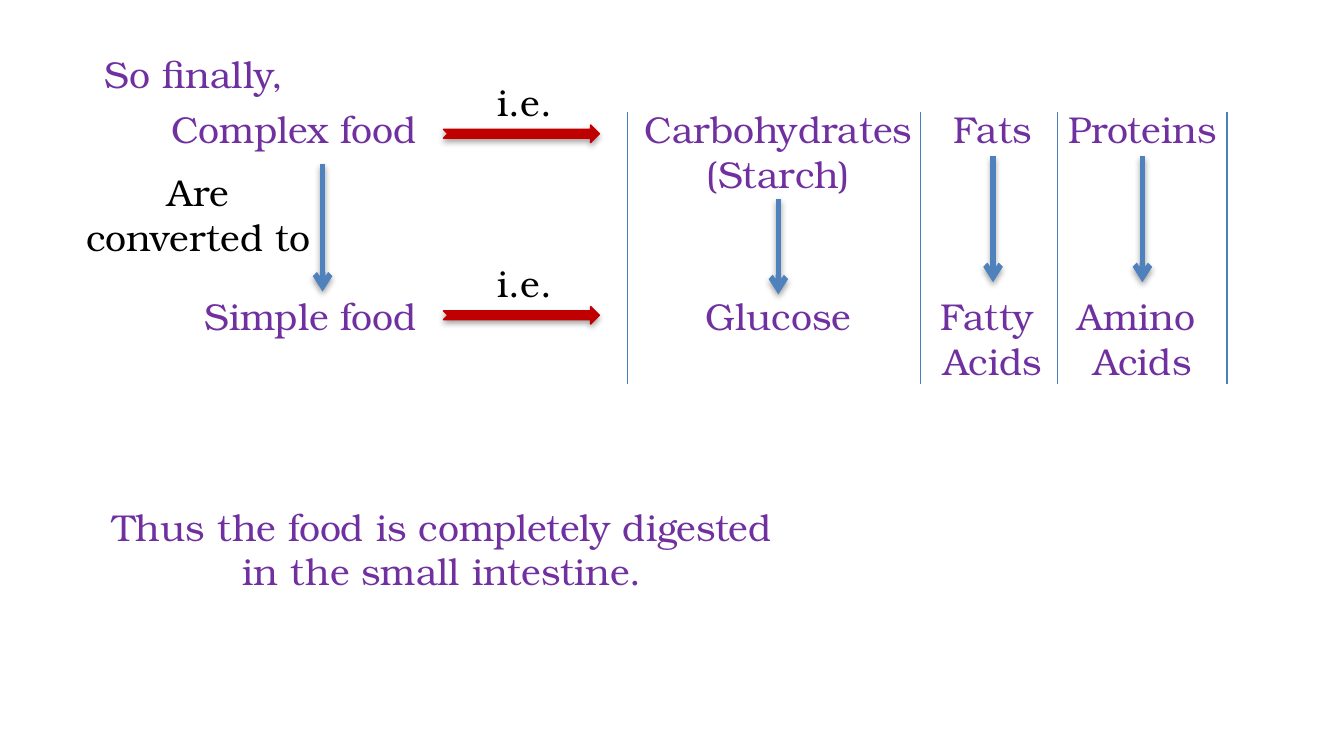
from lxml import etree
from pptx import Presentation
from pptx.dml.color import RGBColor
from pptx.enum import shapes, text
from pptx.oxml import ns
from pptx.util import Pt

PURPLE = RGBColor(0x70, 0x30, 0xA0)
BLACK = RGBColor(0, 0, 0)
BLUE = RGBColor(0x4F, 0x81, 0xBD)
RULE_BLUE = RGBColor(0x4B, 0x7E, 0xBC)
RED = RGBColor(0xC0, 0, 0)
FONT = "TeX Gyre Bonum"
LINE_HEIGHT = 23.9
MARGIN = 3.6
LEFT, CENTER, RIGHT = text.PP_ALIGN.LEFT, text.PP_ALIGN.CENTER, text.PP_ALIGN.RIGHT

COMPLEX_TOP, SIMPLE_TOP = 53.3, 153.4
NUTRIENTS = [
    (417, ["Carbohydrates", "(Starch)"], 159.8, ["Glucose"], 93.6, (106.6, 157.7)),
    (532, ["Fats"], 57.6, ["Fatty ", "Acids"], 72, (83.5, 151.2)),
    (612, ["Proteins"], 95, ["Amino ", "Acids"], 84.2, (83.5, 151.2)),
]
DIVIDERS = [336.2, 493.2, 566.6, 657.4]
DIVIDER_TOP, DIVIDER_BOTTOM = 59.8, 205.9
FOODS = [
    ("Complex food", COMPLEX_TOP, 171.4, 67, 38.9),
    ("Simple food", SIMPLE_TOP, 140.4, 164.2, 136.1),
]
FOOD_RIGHT = 230.4
EXAMPLE_LEFT, EXAMPLE_WIDTH, EXAMPLE_HEIGHT = 237.6, 83.5, 9.4
CONVERSION = (172.8, 87.8, 156.2)

deck = Presentation()
deck.slide_width, deck.slide_height = Pt(720), Pt(405)
slide = deck.slides.add_slide(deck.slide_layouts[6])


def add_label(lines, left, top, width, color=PURPLE, align=CENTER, wrap=True, rows=None):
    height = (rows or len(lines)) * LINE_HEIGHT + 2 * MARGIN
    label = slide.shapes.add_textbox(Pt(left), Pt(top), Pt(width), Pt(height))
    frame = label.text_frame
    frame.word_wrap = wrap
    frame.auto_size = text.MSO_AUTO_SIZE.SHAPE_TO_FIT_TEXT
    frame.text = "\n".join(lines)
    for paragraph in frame.paragraphs:
        paragraph.alignment = align
        paragraph.font.name = FONT
        paragraph.font.size = Pt(20)
        paragraph.font.color.rgb = color


def set_effects(part, shadow):
    effects = etree.SubElement(part._element.spPr, ns.qn("a:effectLst"))
    if shadow:
        outer = etree.SubElement(effects, ns.qn("a:outerShdw"), blurRad="40000",
                                 dist="23000", dir="5400000", rotWithShape="0")
        black = etree.SubElement(outer, ns.qn("a:srgbClr"), val="000000")
        etree.SubElement(black, ns.qn("a:alpha"), val="35000")


def add_vertical(x, top, bottom, color, weight, arrow=False):
    stroke = slide.shapes.add_connector(
        shapes.MSO_CONNECTOR.STRAIGHT, Pt(x), Pt(top), Pt(x), Pt(bottom))
    stroke.line.color.rgb = color
    stroke.line.width = Pt(weight)
    if arrow:
        etree.SubElement(stroke.line._get_or_add_ln(), ns.qn("a:tailEnd"), type="arrow")
    set_effects(stroke, arrow)


for center, complex_lines, complex_width, simple_lines, simple_width, span in NUTRIENTS:
    add_label(complex_lines, center - complex_width / 2, COMPLEX_TOP, complex_width, wrap=False)
    add_label(simple_lines, center - simple_width / 2, SIMPLE_TOP, simple_width, wrap=False)
    add_vertical(center, *span, BLUE, 3, arrow=True)

for x in DIVIDERS:
    add_vertical(x, DIVIDER_TOP, DIVIDER_BOTTOM, RULE_BLUE, 0.75)

for food, top, width, example_top, example_label_top in FOODS:
    add_label([food], FOOD_RIGHT - width, top, width, align=RIGHT)
    example = slide.shapes.add_shape(
        shapes.MSO_SHAPE.NOTCHED_RIGHT_ARROW, Pt(EXAMPLE_LEFT), Pt(example_top),
        Pt(EXAMPLE_WIDTH), Pt(EXAMPLE_HEIGHT))
    example.fill.solid()
    example.fill.fore_color.rgb = RED
    example.line.color.rgb = RED
    example.line.width = Pt(0.75)
    set_effects(example, True)
    add_label(["i.e."], 258.2, example_label_top, 46, BLACK)

add_label(["So finally,"], 47.5, 23.8, 113, wrap=False)
add_label(["Are converted to"], 32.4, 87.1, 147.6, BLACK, rows=2)
add_vertical(*CONVERSION, BLUE, 3, arrow=True)
add_label(["Thus the food is completely digested in the small intestine."],
          47.5, 266.4, 378.7, rows=2)

deck.save("out.pptx")
